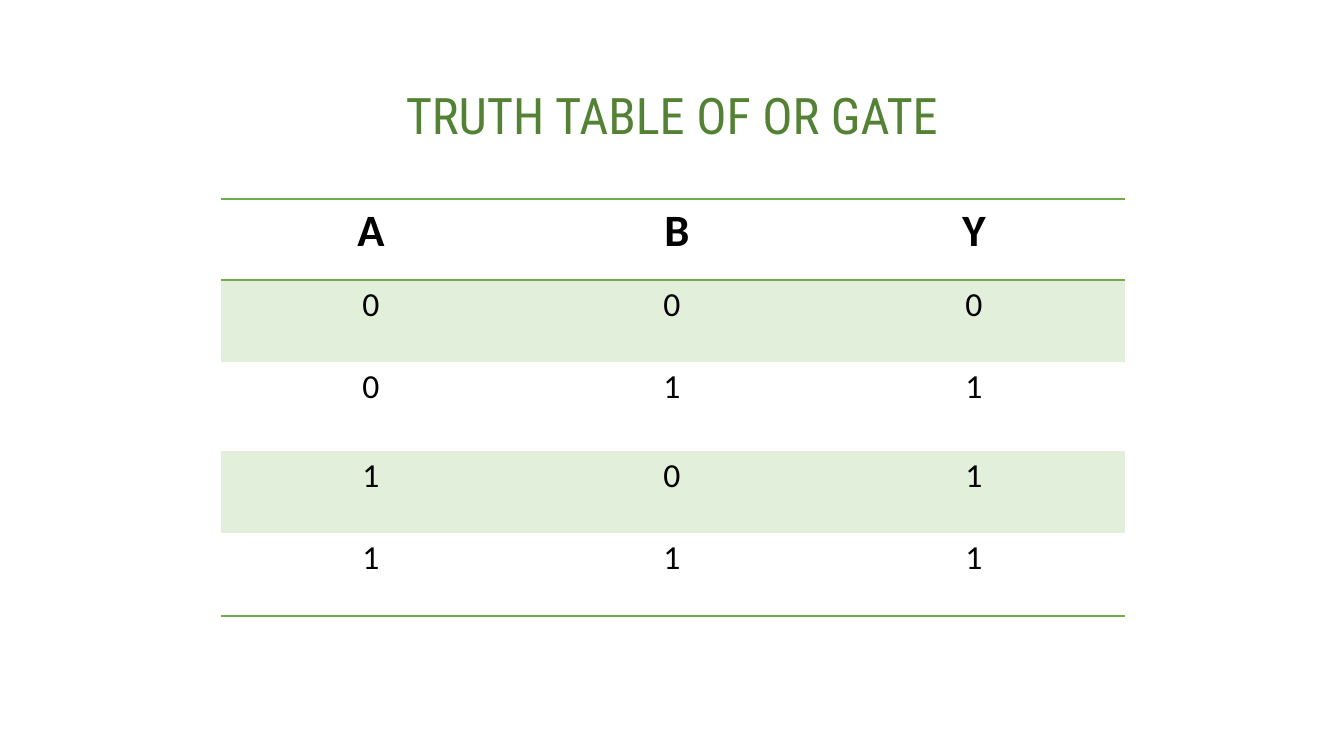
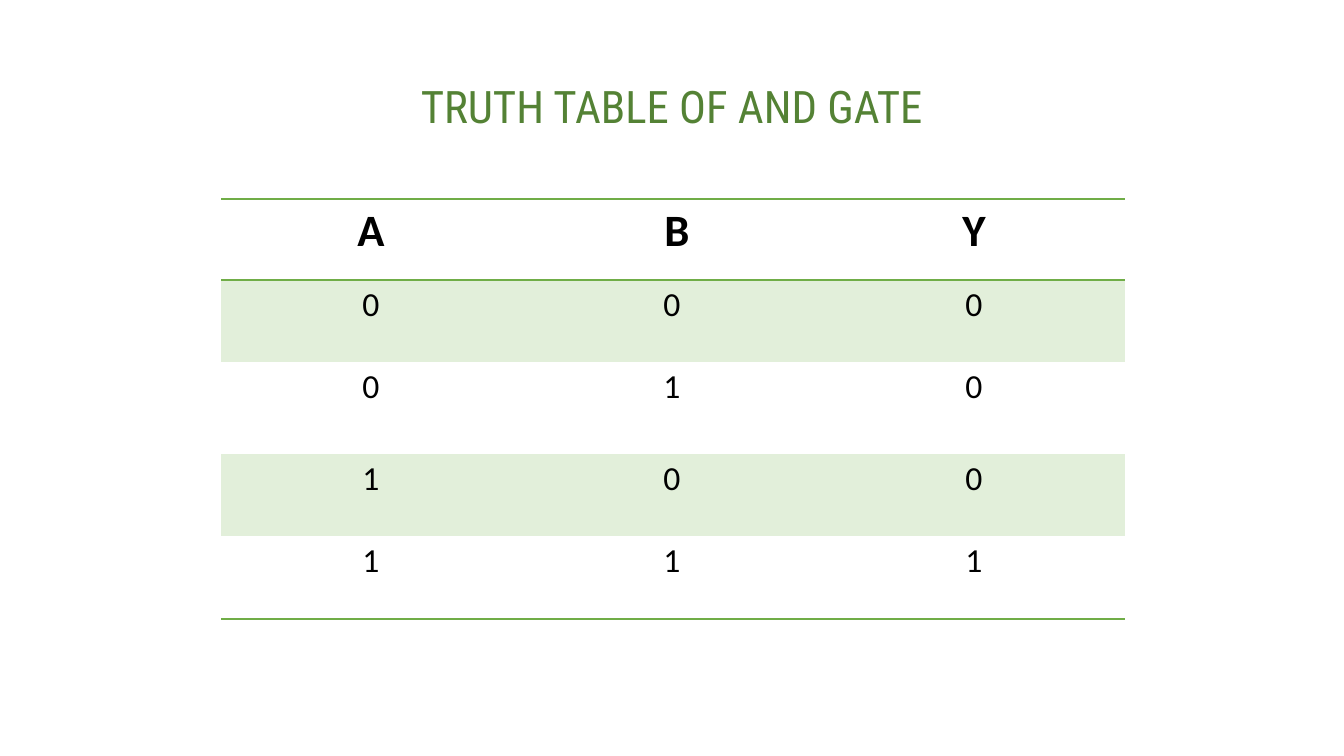
from lxml import etree
from pptx import Presentation
from pptx.dml.color import RGBColor
from pptx.enum.text import MSO_ANCHOR, MSO_AUTO_SIZE, PP_ALIGN
from pptx.oxml.ns import qn
from pptx.util import Pt

CENTER = PP_ALIGN.CENTER
TOP = MSO_ANCHOR.TOP
FIXED = MSO_AUTO_SIZE.NONE

PX = 12192000 / 1344
WIDE, HIGH = 1344, 756

GREEN = RGBColor(0x70, 0xAD, 0x47)
DARK = RGBColor(0x54, 0x82, 0x35)
BAND = RGBColor(0xE2, 0xEF, 0xDA)
BLACK = RGBColor(0, 0, 0)
PLAIN = "{2D5ABB26-0587-4C30-8999-92F81FD0307C}"  # no style, no grid

TITLE = {"name": "Roboto Condensed", "color": DARK, "bold": False}
HEAD = {"name": "Calibri", "color": BLACK, "bold": True, "size": Pt(32)}
BODY = {"name": "Calibri", "color": BLACK, "bold": False, "size": Pt(24)}

INPUTS = [(0, 0), (0, 1), (1, 0), (1, 1)]
NAMES = ("A", " B", "Y")
LEFT, UP = 221, 199
COLS = (300, 302, 302)

GATES = [
    {"title": "TRUTH TABLE OF OR GATE", "size": Pt(36),
     "box": (331, 79, 682, 72), "rows": (81, 82, 89, 82, 83),
     "out": (0, 1, 1, 1)},
    {"title": "TRUTH TABLE OF AND GATE", "size": Pt(32),
     "box": (336, 74, 672, 65), "rows": (81, 82, 92, 82, 83),
     "out": (0, 0, 0, 1)},
]


def px(num):
    return round(num * PX)


def write(frame, text, style):
    frame.text = text
    para = frame.paragraphs[0]
    para.alignment = CENTER
    font = para.runs[0].font
    for key, value in style.items():
        if key == "color":
            font.color.rgb = value
        else:
            setattr(font, key, value)


def rule(cell, side):
    """Draw a green border on one side of a cell: T or B."""
    line = etree.SubElement(cell._tc.get_or_add_tcPr(), qn("a:ln" + side),
                            w=str(Pt(1)))
    fill = etree.SubElement(line, qn("a:solidFill"))
    etree.SubElement(fill, qn("a:srgbClr"), val=str(GREEN))


def add_title(slide, gate):
    title = slide.shapes.title
    title.left, title.top, title.width, title.height = map(px, gate["box"])
    frame = title.text_frame
    write(frame, gate["title"], {**TITLE, "size": gate["size"]})
    for key, value in {"word_wrap": True, "auto_size": FIXED,
                       "vertical_anchor": TOP}.items():
        setattr(frame, key, value)


def add_truth(slide, gate):
    data = [NAMES] + [(*pair, out) for pair, out in zip(INPUTS, gate["out"])]
    highs = gate["rows"]
    table = slide.shapes.add_table(
        len(data), len(COLS), px(LEFT), px(UP),
        px(sum(COLS)), px(sum(highs))).table
    table._tbl.tblPr.find(qn("a:tableStyleId")).text = PLAIN
    for col, wide in zip(table.columns, COLS):
        col.width = px(wide)
    for row, high in zip(table.rows, highs):
        row.height = px(high)

    last = len(data) - 1
    for r, line in enumerate(data):
        sides = {0: "TB", last: "B"}.get(r, "")
        for c, value in enumerate(line):
            cell = table.cell(r, c)
            write(cell.text_frame, str(value), BODY if r else HEAD)
            cell.vertical_anchor = TOP
            for side in sides:
                rule(cell, side)
            if r % 2:
                cell.fill.solid()
                cell.fill.fore_color.rgb = BAND
            else:
                cell.fill.background()


def main():
    deck = Presentation()
    deck.slide_width, deck.slide_height = px(WIDE), px(HIGH)
    layout = deck.slide_layouts.get_by_name("Title Only")
    for gate in GATES:
        slide = deck.slides.add_slide(layout)
        add_title(slide, gate)
        add_truth(slide, gate)
    deck.save("out.pptx")


if __name__ == "__main__":
    main()
